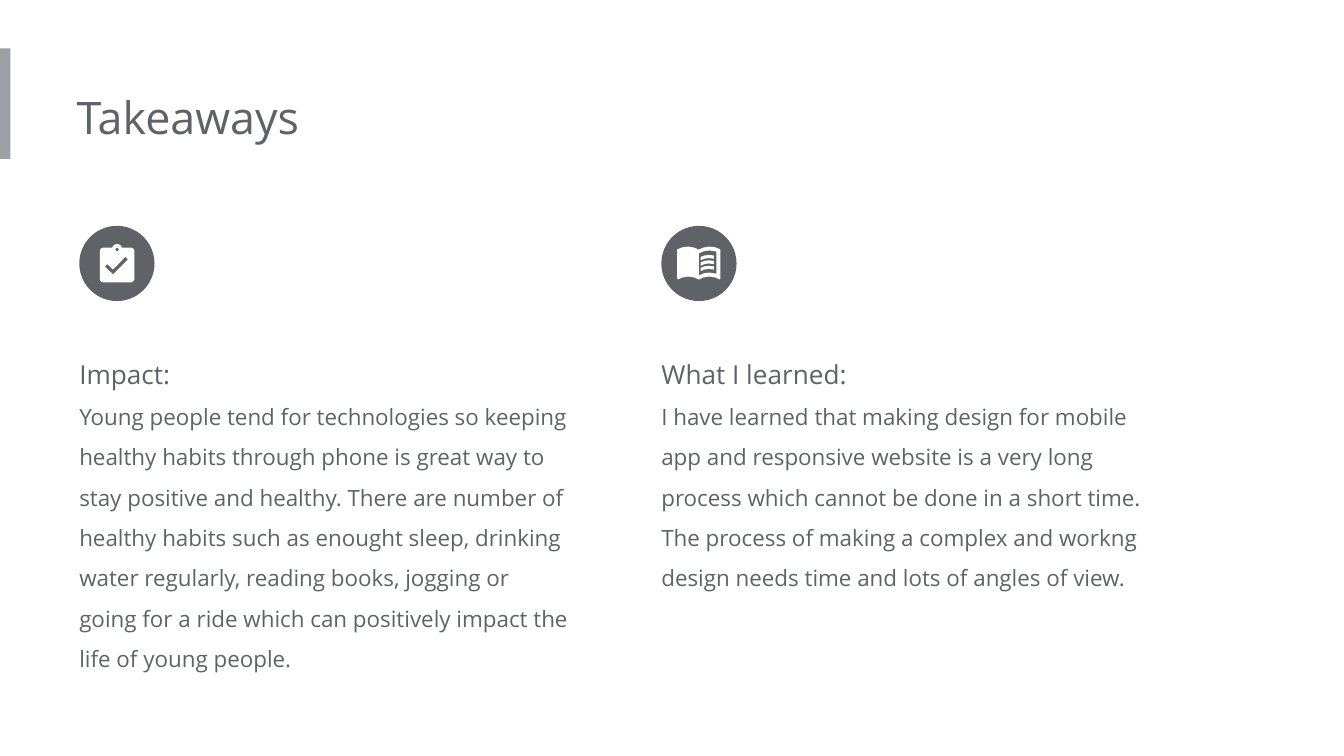
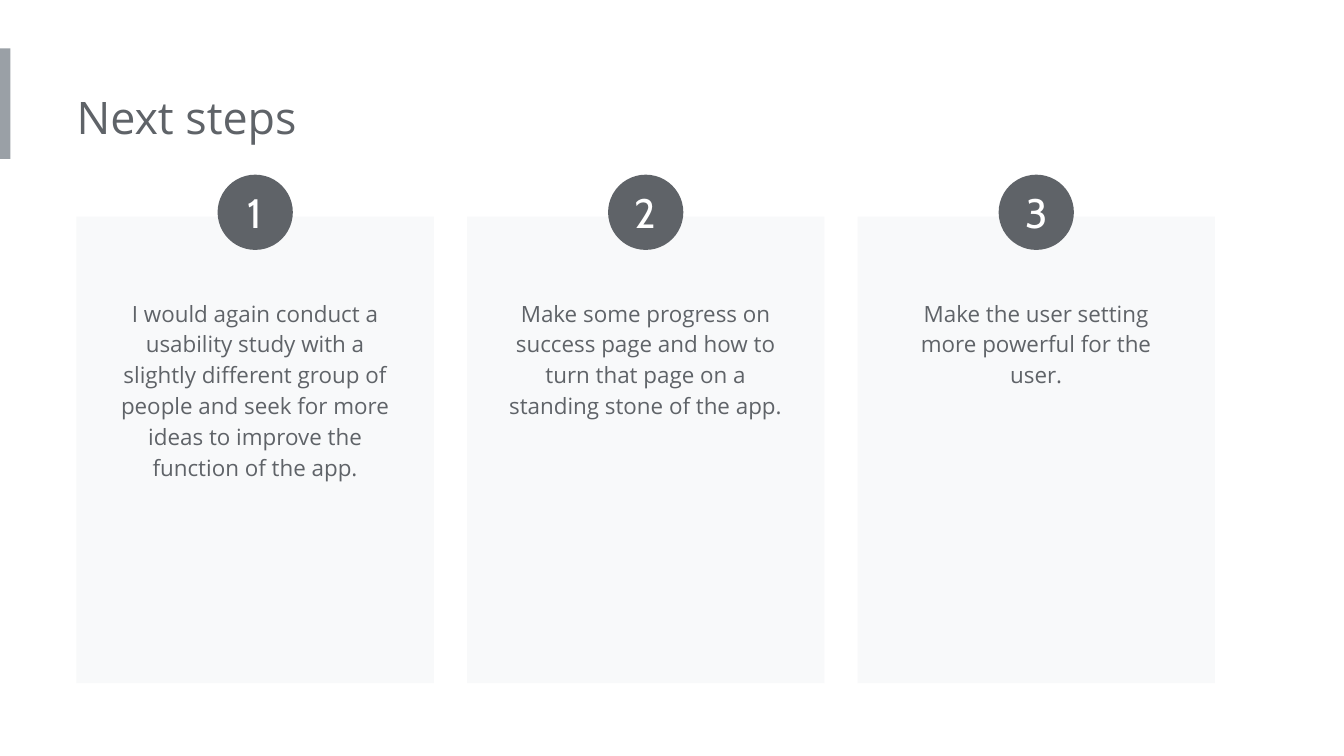
import math

from pptx import Presentation
from pptx import util as u
from pptx.dml.color import RGBColor
from pptx.enum import shapes, text

COLORS = {"ink": "5F6368", "band": "9AA0A6", "card": "F8F9FA", "white": "FFFFFF"}
BODY_FONT = "Open Sans"
NUMBER_FONT = "Cabin"
BADGE_SIZE = 40.3
BADGE_TOP = 121
TAKEAWAY_LEFT, TAKEAWAY_STEP = 42.5, 311.8
CARD_LEFT, CARD_STEP, CARD_WIDTH, CARD_TOP, CARD_HEIGHT = 41, 209.2, 191.5, 116, 250
CARD_TEXT_WIDTH = 161.3

TAKEAWAYS = [
    ("Impact:",
     "Young people tend for technologies so keeping healthy habits through phone is "
     "great way to stay positive and healthy. There are number of healthy habits such "
     "as enought sleep, drinking water regularly, reading books, jogging or going for "
     "a ride which can positively impact the life of young people.", 186),
    ("What I learned:",
     "I have learned that making design for mobile app and responsive website is a "
     "very long process which cannot be done in a short time. The process of making a "
     "complex and workng design needs time and lots of angles of view.", 142),
]
STEPS = [
    ("I would again conduct a usability study with a slightly different group of "
     "people and seek for more ideas to improve the function of the app.", 113),
    ("Make some progress on success page and how to turn that page on a standing "
     "stone of the app.", 79),
    ("Make the user setting more powerful for the user.", 62.6),
]


def color(name):
    return RGBColor.from_string(COLORS[name])


def paint(shape, fill):
    shape.shadow.inherit = False
    shape.fill.solid()
    shape.fill.fore_color.rgb = color(fill)
    shape.line.fill.background()


def place(shape, left, top, width, height):
    shape.left, shape.top = u.Pt(left), u.Pt(top)
    shape.width, shape.height = u.Pt(width), u.Pt(height)


def add_block(page, kind, left, top, width, height, fill):
    block = page.shapes.add_shape(
        kind, u.Pt(left), u.Pt(top), u.Pt(width), u.Pt(height))
    paint(block, fill)
    return block


def set_frame(frame, left_inset, inset, anchor=text.MSO_ANCHOR.TOP):
    frame.word_wrap = True
    frame.vertical_anchor = anchor
    frame.margin_left = u.Pt(left_inset)
    frame.margin_top = frame.margin_right = frame.margin_bottom = u.Pt(inset)


def write(para, words, size, font=BODY_FONT, ink="ink",
          align=text.PP_ALIGN.LEFT, spacing=1.0):
    para.alignment = align
    para.line_spacing = spacing
    span = para.add_run()
    span.text = words
    span.font.size = u.Pt(size)
    span.font.name = font
    span.font.color.rgb = color(ink)


def add_text_box(page, left, top, width, height, left_inset):
    box = page.shapes.add_textbox(u.Pt(left), u.Pt(top), u.Pt(width), u.Pt(height))
    set_frame(box.text_frame, left_inset, 7.2)
    box.text_frame.auto_size = text.MSO_AUTO_SIZE.SHAPE_TO_FIT_TEXT
    return box.text_frame


def add_page(deck, heading):
    page = deck.slides.add_slide(deck.slide_layouts[5])
    add_block(page, shapes.MSO_SHAPE.RECTANGLE, 0, 26, 5.6, 59.2, "band")
    title = page.shapes.title
    place(title, 41, 41, 388, 44)
    set_frame(title.text_frame, 0, 7.2)
    title.text_frame.auto_size = text.MSO_AUTO_SIZE.SHAPE_TO_FIT_TEXT
    write(title.text_frame.paragraphs[0], heading, 24)
    return page


def add_badge(page, left, top):
    return add_block(page, shapes.MSO_SHAPE.OVAL, left, top, BADGE_SIZE, BADGE_SIZE, "ink")


def add_outline(parent, *contours):
    scaled = [[(u.Pt(x), u.Pt(y)) for x, y in contour] for contour in contours]
    builder = parent.shapes.build_freeform(*scaled[0][0])
    builder.add_line_segments(scaled[0][1:])
    for contour in scaled[1:]:
        builder.move_to(*contour[0])
        builder.add_line_segments(contour[1:])
    paint(builder.convert_to_shape(), "white")


def arc(x, y, radius, start, end, count=8):
    angles = [math.radians(start + (end - start) * i / count) for i in range(count + 1)]
    return [(x + radius * math.cos(a), y + radius * math.sin(a)) for a in angles]


def add_clipboard(page):
    left, top, right, bottom, radius = 53.5, 132.7, 72, 151.3, 1.9
    middle = (left + right) / 2
    board = (arc(left + radius, top + radius, radius, 180, 270)
             + arc(middle, 133.5, 2.7, 197, 343, 16)
             + arc(right - radius, top + radius, radius, 270, 360)
             + arc(right - radius, bottom - radius, radius, 0, 90)
             + arc(left + radius, bottom - radius, radius, 90, 180))
    clip = arc(middle, 133.7, 0.9, 360, 0, 16)
    check = [(60.5, 147), (56.2, 142.8), (57.5, 141.5), (60.5, 144.4),
             (67.2, 137.6), (68.5, 139)]
    add_outline(page, board, clip, check)


def add_book(page):
    book = page.shapes.add_group_shape()
    spine = 374.4
    top_edge = [(362.8, 133.7), (365.3, 132.6), (368.8, 132.1), (372, 132.7), (spine, 133.8)]
    bottom_edge = [(spine, 149.8), (372, 148.7), (368.8, 148.2), (365.3, 148.8),
                   (363.4, 149.7), (362.8, 149.4)]

    def mirror(points):
        return [(2 * spine - x, y) for x, y in reversed(points)]

    cover = top_edge + mirror(top_edge)[1:] + mirror(bottom_edge) + bottom_edge[1:]
    sheet = [(spine, 135.8), (spine, 147.6), (377, 146.5), (380, 146.1), (383.9, 146.7),
             (383.9, 134.8), (380, 134.2), (377, 134.7)]
    add_outline(book, cover, sheet)
    for row in range(3):
        line = [(375.3, 137.7), (377.5, 136.9), (379.8, 136.6), (382.5, 136.9),
                (382.5, 138.7), (379.8, 138.3), (377.5, 138.6), (375.3, 139.5)]
        add_outline(book, [(x, y + row * 2.9) for x, y in line])


def add_takeaway(page, index, heading, body, height):
    left = TAKEAWAY_LEFT + index * TAKEAWAY_STEP
    frame = add_text_box(page, left, 176.4, 271.5, height, 0)
    write(frame.paragraphs[0], heading, 14, spacing=1.5)
    write(frame.add_paragraph(), body, 12, spacing=1.5)
    add_badge(page, left, BADGE_TOP)


def add_step(page, index, words, height):
    left = CARD_LEFT + index * CARD_STEP
    add_block(page, shapes.MSO_SHAPE.RECTANGLE,
              left, CARD_TOP, CARD_WIDTH, CARD_HEIGHT, "card")
    frame = add_text_box(page, left + (CARD_WIDTH - CARD_TEXT_WIDTH) / 2, 151.2,
                         CARD_TEXT_WIDTH, height, 7.2)
    write(frame.paragraphs[0], words, 12, align=text.PP_ALIGN.CENTER, spacing=1.15)
    badge = add_badge(page, left + (CARD_WIDTH - BADGE_SIZE) / 2, 93.6)
    set_frame(badge.text_frame, 0, 0, text.MSO_ANCHOR.MIDDLE)
    write(badge.text_frame.paragraphs[0], str(index + 1), 22, NUMBER_FONT, "white",
          text.PP_ALIGN.CENTER)


def main():
    deck = Presentation()
    deck.slide_width, deck.slide_height = u.Pt(720), u.Pt(405)

    page = add_page(deck, "Takeaways")
    for index, takeaway in enumerate(TAKEAWAYS):
        add_takeaway(page, index, *takeaway)
    add_clipboard(page)
    add_book(page)

    page = add_page(deck, "Next steps")
    for index, step in enumerate(STEPS):
        add_step(page, index, *step)

    deck.save("out.pptx")


if __name__ == "__main__":
    main()
